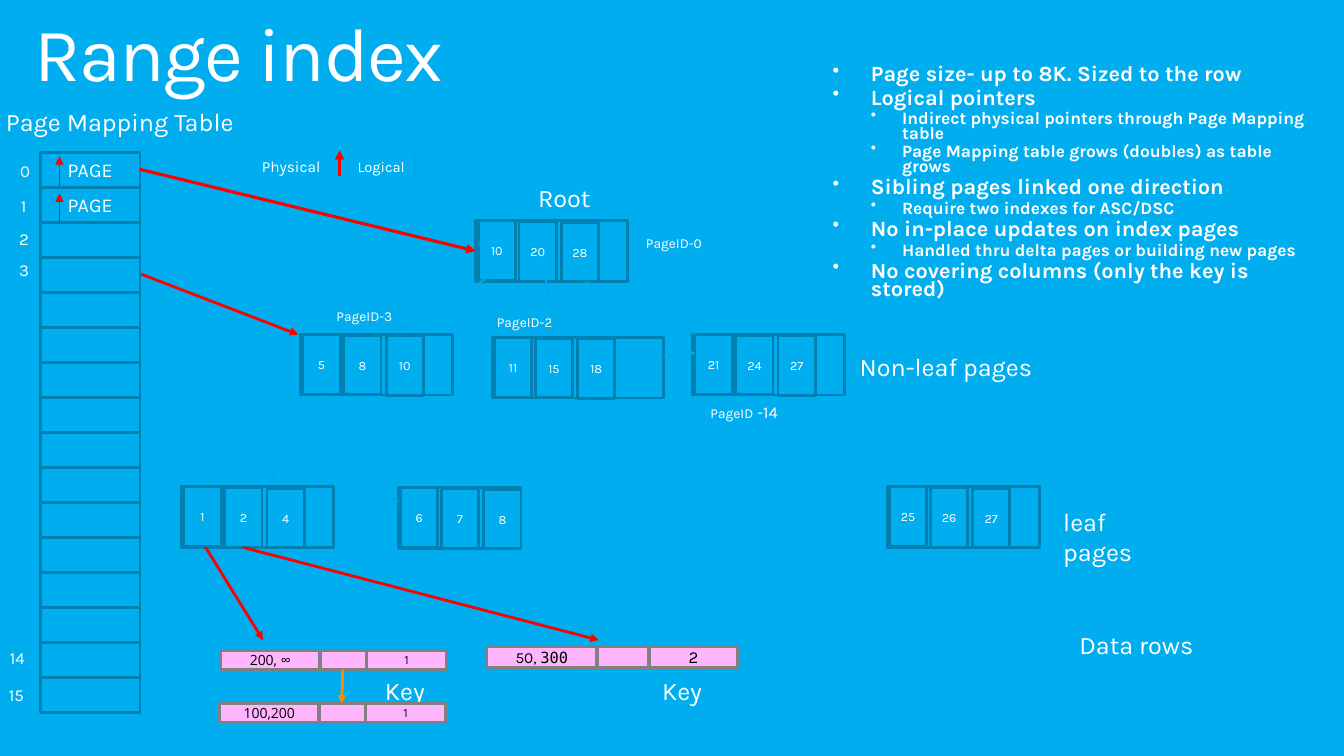
from dataclasses import dataclass

import pptx
import pptx.dml.color
import pptx.enum.shapes
import pptx.enum.text
import pptx.oxml
import pptx.oxml.ns
import pptx.util

Pt = pptx.util.Pt
RGBColor = pptx.dml.color.RGBColor
PP_ALIGN = pptx.enum.text.PP_ALIGN
MSO_ANCHOR = pptx.enum.text.MSO_ANCHOR

SKY = RGBColor(0x00, 0xAE, 0xEF)
FAINT = RGBColor(0x00, 0xAA, 0xEA)
EDGE = RGBColor(0x00, 0x81, 0xB1)
WHITE = RGBColor(0xFF, 0xFF, 0xFF)
BLACK = RGBColor(0x00, 0x00, 0x00)
RED = RGBColor(0xFF, 0x00, 0x00)
ORANGE = RGBColor(0xFF, 0x8A, 0x00)
PINK = RGBColor(0xFF, 0xB6, 0xFF)
GRAY = RGBColor(0x80, 0x80, 0x80)

KARLA, SANS, MONO = "Karla", "Open Sans", "DejaVu Sans Mono"


@dataclass
class Run:
    text: str
    size: float
    font: str = KARLA
    color: RGBColor = WHITE


@dataclass
class Label:
    runs: list[Run]
    left: float
    top: float
    width: float
    height: float
    wrap: bool = False


@dataclass
class IndexPage:
    left: float
    top: float
    keys: tuple[str, str, str]
    width: float = 108.7


@dataclass
class DataRow:
    left: float
    top: float
    height: float
    widths: tuple[float, float, float]
    cells: tuple[list[Run], list[Run], list[Run]]


@dataclass
class Arrow:
    start: tuple[float, float]
    end: tuple[float, float]
    color: RGBColor = FAINT
    width: float = 1.25


PAGE_H, KEY_W, KEY_H = 43.2, 26.6, 42.5
KEY_OFFSETS = [(1.8, 0), (31, 0.5), (61.2, 1)]
SLOT_LEFT, SLOT_TOP, SLOT_W, SLOT_H, SLOT_PITCH = 28.8, 108.7, 71.3, 25.1, 25
SLOT_COUNT = 16
ROW_GAP = 0.7

PAGES = [
    IndexPage(339.8, 157.7, ("10", "20", "28")),
    IndexPage(214.6, 239, ("5", "8", "10")),
    IndexPage(351.4, 241.2, ("11", "15", "18"), 122.4),
    IndexPage(494.6, 239, ("21", "24", "27")),
    IndexPage(129.6, 347.8, ("1", "2", "4")),
    IndexPage(284.4, 348.5, ("6", "7", "8"), 87.8),
    IndexPage(633.6, 347.8, ("25", "26", "27")),
]

LABELS = [
    Label([Run("Page Mapping Table", 18)], -2.9, 72.7, 180.7, 29.5),
    Label([Run("Root", 18)], 377.3, 126.7, 53.3, 29.5),
    Label([Run("Non-leaf pages", 18)], 607, 247.7, 140.4, 29.5),
    Label([Run("leaf pages", 18)], 752.4, 357.8, 72, 51, True),
    Label([Run("Data rows", 18)], 763.9, 445.7, 95.8, 29.5),
    Label([Run("PageID-0", 9.8)], 454.3, 164.2, 54.7, 18.7),
    Label([Run("PageID-3", 9.8)], 233.3, 216, 54.7, 18.7),
    Label([Run("PageID-2", 9.8)], 347.8, 220.3, 54.7, 18.7),
    Label([Run("PageID", 9.8), Run(" -14", 11.8)], 500.4, 283.7, 66.2, 21.6),
    Label([Run("Key", 18)], 267.8, 478.8, 43.9, 29.5),
    Label([Run("Key", 18)], 465.8, 478.8, 43.9, 29.5),
    Label([Run("Logical", 10.5)], 248.4, 109.4, 53.3, 20.2, True),
    Label([Run("Physical", 11)], 180, 108.7, 62.6, 20.9, True),
] + [
    Label([Run(number, 12)], left, top, 32, 22.3, True)
    for number, left, top in [
        ("0", 7.2, 111.6), ("1", 7.9, 136.1), ("2", 6.5, 159.8),
        ("3", 6.5, 182.2), ("14", 0, 459.4), ("15", -0.7, 485.3),
    ]
]

NARROW = (70.6, 32.4, 56.9)
ROWS = [
    DataRow(157.7, 464.4, 13.7, NARROW,
            ([Run("200, ∞", 10, SANS, BLACK)], [], [Run("1", 8, SANS, BLACK)])),
    DataRow(347.8, 462.2, 14.4, (78.5, 36, 63.4),
            ([Run("50, ", 11, KARLA, BLACK), Run("300", 11, MONO, BLACK)], [],
             [Run("2", 12, KARLA, BLACK)])),
    DataRow(157, 502.6, 13.7, NARROW,
            ([Run("100,200", 10, SANS, BLACK)], [], [Run("1", 8, SANS, BLACK)])),
]

ARROWS = [
    Arrow((360, 191.5), (285.1, 236.2)),
    Arrow((389.5, 197.3), (396, 239.8)),
    Arrow((418.3, 201.6), (496.1, 238.3)),
    Arrow((230.4, 284.4), (190.8, 345.6)),
    Arrow((573.8, 284.4), (642.2, 344.9)),
    Arrow((325.4, 247.7), (351.4, 247), width=0.75),
    Arrow((473.8, 254.2), (496.8, 252), width=0.75),
    Arrow((239, 357.1), (285.1, 357.8), width=0.75),
    Arrow((296.6, 125.3), (295.2, 107.3), width=1.75),
    Arrow((42.5, 133.2), (42.5, 111.6), RED, 0.75),
    Arrow((42.5, 159.1), (42.5, 138.2), RED, 0.75),
    Arrow((146.9, 391), (187.9, 457.2), RED, 2),
    Arrow((173.5, 391), (427.7, 457.2), RED, 2),
    Arrow((100.1, 121), (339.8, 179.3), RED, 2.25),
    Arrow((100.8, 195.8), (213.1, 239), RED, 2),
    Arrow((242.6, 126), (242.6, 107.3), RED, 2.25),
    Arrow((244.8, 478.1), (244.1, 502.6), ORANGE, 2),
]

BULLETS = [
    (0, "Page size- up to 8K. Sized to the row"),
    (0, "Logical pointers"),
    (1, "Indirect physical pointers through Page Mapping table"),
    (1, "Page Mapping table grows (doubles) as table grows"),
    (0, "Sibling pages linked one direction"),
    (1, "Require two indexes for ASC/DSC"),
    (0, "No in-place updates on index pages"),
    (1, "Handled thru delta pages or building new pages"),
    (0, "No covering columns (only the key is stored)"),
]
# size, left margin, hanging indent and space before, by level
BULLET_LEVELS = [(15.5, 27.4, 27.4, 3.6), (12.4, 49.7, 22.3, 2.9)]


def write_runs(p, runs: list[Run]) -> None:
    for run in runs:
        r = p.add_run()
        r.text = run.text
        r.font.size, r.font.name = Pt(run.size), run.font
        r.font.color.rgb = run.color


def clear_margins(tf) -> None:
    tf.margin_left = tf.margin_right = tf.margin_top = tf.margin_bottom = 0


def add_box(slide, left: float, top: float, width: float, height: float,
            runs: list[Run], fill: RGBColor | None = None, line: RGBColor = EDGE) -> None:
    """Draw an outlined rectangle with centred text."""
    sp = slide.shapes.add_shape(pptx.enum.shapes.MSO_SHAPE.RECTANGLE,
                                Pt(left), Pt(top), Pt(width), Pt(height))
    sp.shadow.inherit = False
    if fill is None:
        sp.fill.background()
    else:
        sp.fill.solid()
        sp.fill.fore_color.rgb = fill
    sp.line.color.rgb, sp.line.width = line, Pt(2)
    tf = sp.text_frame
    clear_margins(tf)
    tf.vertical_anchor = MSO_ANCHOR.MIDDLE
    tf.paragraphs[0].alignment = PP_ALIGN.CENTER
    write_runs(tf.paragraphs[0], runs)


def add_text(slide, label: Label):
    sp = slide.shapes.add_textbox(Pt(label.left), Pt(label.top), Pt(label.width), Pt(label.height))
    sp.text_frame.word_wrap = label.wrap
    write_runs(sp.text_frame.paragraphs[0], label.runs)
    return sp.text_frame


def add_page(slide, page: IndexPage) -> None:
    add_box(slide, page.left, page.top, page.width, PAGE_H, [])
    for key, (dx, dy) in zip(page.keys, KEY_OFFSETS):
        add_box(slide, page.left + dx, page.top + dy, KEY_W, KEY_H, [Run(key, 9)], SKY)


def add_row(slide, row: DataRow) -> None:
    left = row.left
    for width, runs in zip(row.widths, row.cells):
        add_box(slide, left, row.top, width, row.height, runs, PINK, GRAY)
        left += width + ROW_GAP


def add_arrow(slide, arrow: Arrow) -> None:
    cxn = slide.shapes.add_connector(pptx.enum.shapes.MSO_CONNECTOR.STRAIGHT,
                                     *map(Pt, arrow.start + arrow.end))
    cxn.line.color.rgb, cxn.line.width = arrow.color, Pt(arrow.width)
    qn = pptx.oxml.ns.qn
    cxn.line._get_or_add_ln().makeelement
    ln = cxn.line._get_or_add_ln()
    ln.append(ln.makeelement(qn("a:tailEnd"), {"type": "triangle"}))
    props = ln.getparent()
    props.append(props.makeelement(qn("a:effectLst"), {}))


def add_bullets(slide) -> None:
    tf = add_text(slide, Label([], 594.7, 48.2, 343.4, 182.2, True))
    clear_margins(tf)
    qn = pptx.oxml.ns.qn
    for i, (level, text) in enumerate(BULLETS):
        size, margin, hanging, before = BULLET_LEVELS[level]
        p = tf.add_paragraph() if i else tf.paragraphs[0]
        pPr = p._p.get_or_add_pPr()
        pPr.set("marL", str(Pt(margin)))
        pPr.set("indent", str(-Pt(hanging)))
        for tag, attrs in (("a:buSzPct", {"val": "90000"}), ("a:buChar", {"char": "•"})):
            pPr.append(pPr.makeelement(qn(tag), attrs))
        p.level, p.line_spacing = level, 0.7
        p.space_before = Pt(before if i else 0)
        write_runs(p, [Run(text, size)])
        p.runs[0].font.bold = True


def main() -> None:
    prs = pptx.Presentation()
    prs.slide_width, prs.slide_height = Pt(960), Pt(540)
    slide = prs.slides.add_slide(prs.slide_layouts[6])
    slide.background.fill.solid()
    slide.background.fill.fore_color.rgb = SKY

    title = add_text(slide, Label([Run("Range index", 54)], 24.5, 11.5, 828, 59, True))
    clear_margins(title)
    title.paragraphs[0].line_spacing = 0.9
    title.paragraphs[0].runs[0].font._element.set("spc", "-100")

    for page in PAGES:
        add_page(slide, page)
    for i in range(SLOT_COUNT):
        add_box(slide, SLOT_LEFT, SLOT_TOP + i * SLOT_PITCH, SLOT_W, SLOT_H,
                [Run("PAGE", 14)] if i < 2 else [])
    for label in LABELS:
        add_text(slide, label)
    for row in ROWS:
        add_row(slide, row)
    for arrow in ARROWS:
        add_arrow(slide, arrow)
    add_bullets(slide)
    prs.save("out.pptx")


if __name__ == "__main__":
    main()
